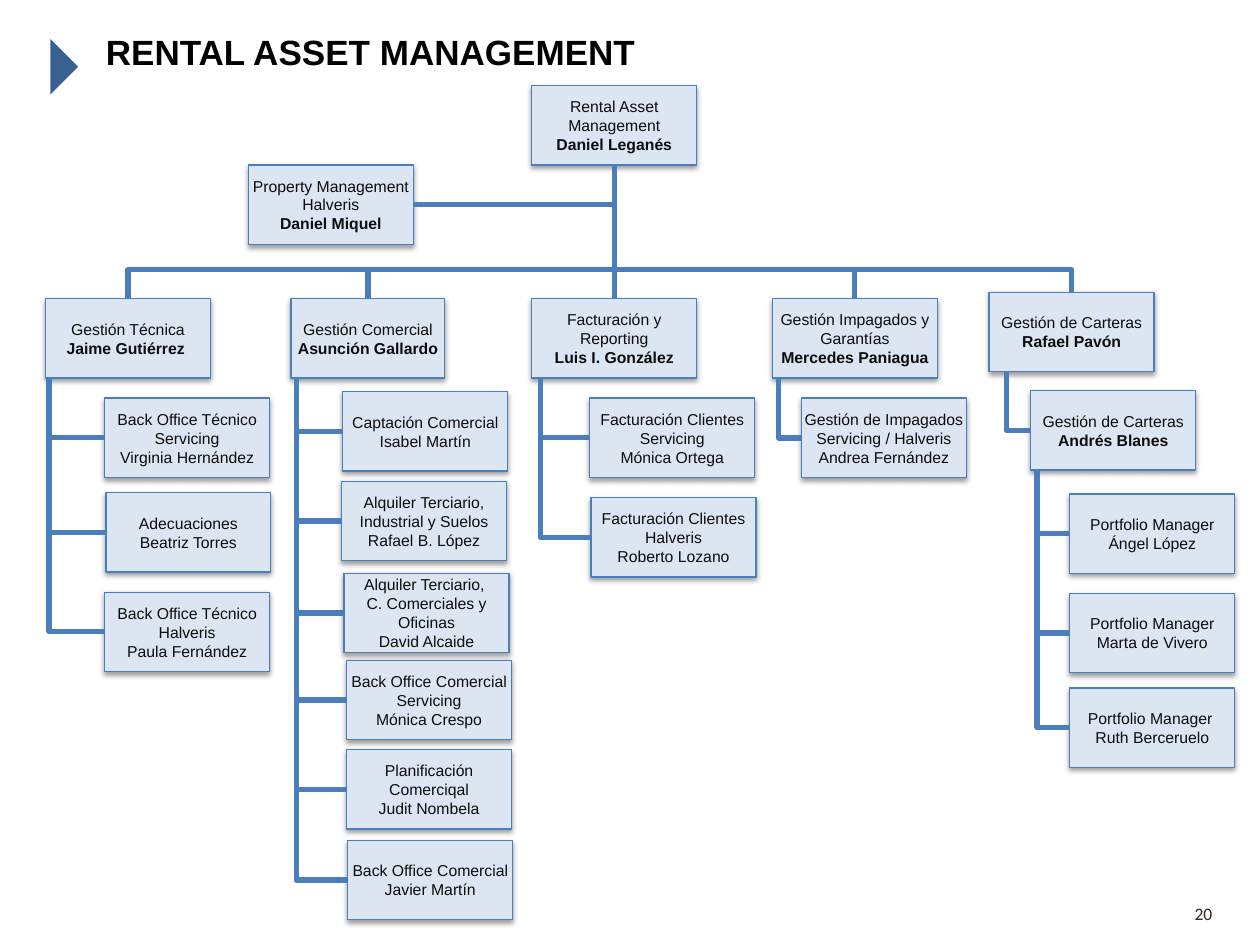
from lxml import etree
from pptx import Presentation, util as u
from pptx.dml.color import RGBColor
from pptx.enum import shapes, text
from pptx.oxml.ns import qn

COLORS = {"box": "DCE6F2", "line": "4B7EBC", "marker": "376091", "black": "000000",
          "text": "0D0D0D", "number": "35261A"}
BOX_W, BOX_H = 1.31, 0.63
HEAD_Y, BUS_Y = 2.37, 2.14

TITLE = "RENTAL ASSET MANAGEMENT"
ROOT = (4.22, 0.68, ["Rental Asset Management", "Daniel Leganés"])
ASSISTANT = (1.97, 1.31, ["Property Management Halveris", "Daniel Miquel"])

# Each branch: head (left, top, lines), width, spine x, staff (left, top, lines).
# The last branch hangs under the manager of the one before it.
BRANCHES = [
    {"head": (0.36, HEAD_Y, ["Gestión Técnica", "Jaime Gutiérrez "]), "spine": 0.39,
     "staff": [
         (0.83, 3.16, ["Back Office Técnico Servicing", "Virginia Hernández"]),
         (0.84, 3.91, ["Adecuaciones", "Beatriz Torres"]),
         (0.83, 4.70, ["Back Office Técnico Halveris", "Paula Fernández"])]},
    {"head": (2.31, HEAD_Y, ["Gestión Comercial", "Asunción Gallardo"]), "spine": 2.35,
     "width": 1.22,
     "staff": [
         (2.72, 3.11, ["Captación Comercial", "Isabel Martín"]),
         (2.71, 3.82, ["Alquiler Terciario, Industrial y Suelos", "Rafael B. López"]),
         (2.73, 4.55, ["Alquiler Terciario, ", "C. Comerciales y Oficinas", "David Alcaide"]),
         (2.75, 5.24, ["Back Office Comercial", "Servicing", "Mónica Crespo"]),
         (2.75, 5.95, ["Planificación Comerciqal", "Judit Nombela"]),
         (2.76, 6.67, ["Back Office Comercial", "Javier Martín"])]},
    {"head": (4.22, HEAD_Y, ["Facturación y Reporting", "Luis I. González"]), "spine": 4.29,
     "staff": [
         (4.68, 3.16, ["Facturación Clientes Servicing", "Mónica Ortega"]),
         (4.69, 3.95, ["Facturación Clientes Halveris", "Roberto Lozano"])]},
    {"head": (6.13, HEAD_Y, ["Gestión Impagados y Garantías", "Mercedes Paniagua"]),
     "spine": 6.18,
     "staff": [
         (6.36, 3.16, ["Gestión de Impagados", "Servicing / Halveris", "Andrea Fernández"])]},
    {"head": (7.85, 2.32, ["Gestión de Carteras", "Rafael Pavón"]), "spine": 7.99, "staff": []},
    {"head": (8.18, 3.10, ["Gestión de Carteras", "Andrés Blanes"]), "spine": 8.23,
     "staff": [
         (8.49, 3.92, ["Portfolio Manager", "Ángel López"]),
         (8.49, 4.71, ["Portfolio Manager", "Marta de Vivero"]),
         (8.49, 5.46, ["Portfolio Manager ", "Ruth Berceruelo"])]},
]


def color(name):
    return RGBColor.from_string(COLORS[name])


def write(frame, lines, size=9, font="Arial", fill="text", bold=False, bold_last=False,
          align=text.PP_ALIGN.CENTER, spacing=None):
    """Fill a text frame, one paragraph a line."""
    frame.word_wrap = True
    frame.auto_size = text.MSO_AUTO_SIZE.NONE
    frame.vertical_anchor = text.MSO_ANCHOR.MIDDLE
    for index, line in enumerate(lines):
        para = frame.add_paragraph() if index else frame.paragraphs[0]
        para.alignment = align
        if spacing:
            para.line_spacing = spacing
        span = para.add_run()
        span.text = line
        span.font.size, span.font.name = u.Pt(size), font
        span.font.color.rgb = color(fill)
        span.font.bold = bold or (bold_last and index == len(lines) - 1)


def add_shadow(shape):
    shape.shadow.inherit = False
    effects = shape._element.spPr.find(qn("a:effectLst"))
    shadow = etree.SubElement(effects, qn("a:outerShdw"), blurRad=str(u.Pt(3.1)),
                              dist=str(u.Pt(1.6)), dir="5400000", rotWithShape="0")
    tone = etree.SubElement(shadow, qn("a:srgbClr"), val=COLORS["black"])
    etree.SubElement(tone, qn("a:alpha"), val="38000")


def add_box(left, top, lines, width=BOX_W, bold_last=False):
    box = page.shapes.add_shape(shapes.MSO_SHAPE.RECTANGLE, u.Inches(left), u.Inches(top),
                                u.Inches(width), u.Inches(BOX_H))
    box.fill.solid()
    box.fill.fore_color.rgb = color("box")
    box.line.color.rgb, box.line.width = color("line"), u.Pt(0.75)
    add_shadow(box)
    box.text_frame.margin_left = box.text_frame.margin_right = 0
    write(box.text_frame, lines, bold_last=bold_last)
    return box


def center_x(box):
    return box.left + box.width // 2


def center_y(box):
    return box.top + box.height // 2


def add_line(x1, y1, x2, y2, start=None, end=None, kind=shapes.MSO_CONNECTOR.STRAIGHT):
    """Draw a connector; start and end are (box, side) pairs to join."""
    line = page.shapes.add_connector(kind, x1, y1, x2, y2)
    line.line.color.rgb, line.line.width = color("line"), u.Pt(3)
    etree.SubElement(line._element.spPr, qn("a:effectLst"))
    if start:
        line.begin_connect(*start)
    if end:
        line.end_connect(*end)
    return line


def add_elbow(x1, y1, x2, y2, bend=None, **joins):
    """Connector that leaves downwards; bend is the share of its height where it turns."""
    line = add_line(x1, y1, x2, y2, kind=shapes.MSO_CONNECTOR.ELBOW, **joins)
    run, drop = abs(x2 - x1), y2 - y1
    line.left, line.top = (x1 + x2 - drop) // 2, (y1 + y2 - run) // 2
    line.width, line.height = drop, run
    frame = line._element.spPr.find(qn("a:xfrm"))
    for name in ("flipH", "flipV"):
        frame.attrib.pop(name, None)
    frame.set("rot", "16200000" if x2 > x1 else "5400000")
    if x2 > x1:
        frame.set("flipH", "1")
    shape = line._element.spPr.find(qn("a:prstGeom"))
    if bend is None:
        shape.set("prst", "bentConnector2")
    else:
        guides = shape.find(qn("a:avLst"))
        if guides is None:
            guides = etree.SubElement(shape, qn("a:avLst"))
        etree.SubElement(guides, qn("a:gd"), name="adj1", fmla=f"val {round(bend * 100000)}")


deck = Presentation()
deck.slide_width, deck.slide_height = u.Inches(10), u.Inches(7.5)
page = deck.slides.add_slide(deck.slide_layouts[5])

# Title and its marker
title = page.shapes.title
title.left, title.top, title.width, title.height = map(u.Inches, (0.74, 0.17, 8.95, 0.44))
write(title.text_frame, [TITLE], size=20, fill="black", bold=True,
      align=text.PP_ALIGN.LEFT, spacing=1.1)
marker = page.shapes.add_shape(shapes.MSO_SHAPE.ISOSCELES_TRIANGLE, u.Inches(0.29),
                               u.Inches(0.42), u.Inches(0.44), u.Inches(0.22))
marker.rotation = 90
marker.fill.solid()
marker.fill.fore_color.rgb = color("marker")
marker.line.fill.background()
marker.shadow.inherit = False

# Boxes
root = add_box(*ROOT, bold_last=True)
assistant = add_box(*ASSISTANT, bold_last=True)
heads = [add_box(*branch["head"], width=branch.get("width", BOX_W), bold_last=True)
         for branch in BRANCHES]
teams = [[add_box(*person) for person in branch["staff"]] for branch in BRANCHES]
teams[-2].append(heads[-1])

# Bus from the root to the five heads, and the side line to the assistant
root_x, root_bottom, bus = center_x(root), root.top + root.height, u.Inches(BUS_Y)
top_heads = heads[:-1]
for head in (top_heads[0], top_heads[-1]):
    add_elbow(root_x, root_bottom, center_x(head), head.top,
              bend=(bus - root_bottom) / (head.top - root_bottom),
              start=(root, 2), end=(head, 0))
for head in top_heads[1:-1]:
    add_line(center_x(head), bus, center_x(head), head.top, end=(head, 0))
add_line(assistant.left + assistant.width, center_y(assistant), root_x, center_y(assistant),
         start=(assistant, 3))

# Spine of each branch, with a stub to each person
for branch, head, team in zip(BRANCHES, heads, teams):
    spine = u.Inches(branch["spine"])
    for box in team[:-1]:
        add_line(spine, center_y(box), box.left, center_y(box), end=(box, 1))
    last = team[-1]
    add_elbow(spine, head.top + head.height, last.left, center_y(last), end=(last, 1))

# Page number
number = page.shapes.add_textbox(u.Inches(7.39), u.Inches(7.05), u.Inches(2.33), u.Inches(0.4))
write(number.text_frame, ["20"], size=10, font="Calibri", fill="number",
      align=text.PP_ALIGN.RIGHT)

deck.save("out.pptx")
